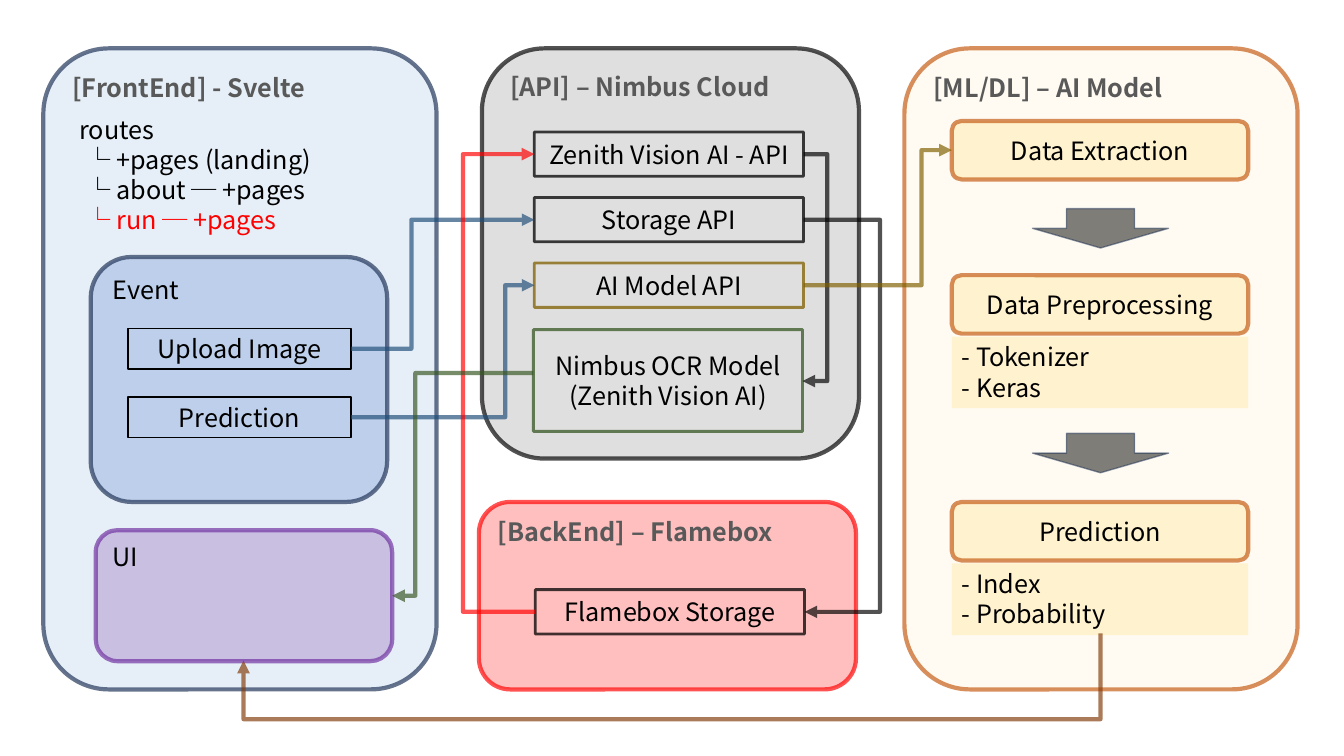
from lxml import etree
from pptx import Presentation
from pptx.dml.color import RGBColor
from pptx.enum.shapes import MSO_CONNECTOR, MSO_SHAPE
from pptx.enum.text import MSO_ANCHOR, PP_ALIGN
from pptx.oxml.ns import qn
from pptx.util import Emu, Pt

ELBOW = MSO_CONNECTOR.ELBOW
RECT, ROUND = MSO_SHAPE.RECTANGLE, MSO_SHAPE.ROUNDED_RECTANGLE
DOWN_ARROW = MSO_SHAPE.DOWN_ARROW
TOP, MIDDLE = MSO_ANCHOR.TOP, MSO_ANCHOR.MIDDLE
LEFT, CENTER = PP_ALIGN.LEFT, PP_ALIGN.CENTER

FONT = "Noto Sans CJK KR"
COLORS = {
    "black": "000000", "heading": "595959", "gray": "808080", "navy": "1E3256",
    "sky": "9DC3E6", "blue": "4472C4", "steel": "1F4E79", "cream": "FFF2CC",
    "yellow": "FFD966", "orange": "C55A11", "purple": "7030A0", "red": "FF0000",
    "green": "385723", "olive": "806000", "brown": "843C0B",
}


def px(n):
    return Emu(n * 9144)


def paint(fill, color, opacity):
    fill.solid()
    fill.fore_color.rgb = RGBColor.from_string(COLORS[color])
    if opacity < 100:
        clr = fill._xPr.find(qn("a:solidFill"))[0]
        etree.SubElement(clr, qn("a:alpha")).set("val", str(opacity * 1000))


def stroke(line, color, width, opacity):
    line.width = Pt(width)
    paint(line.fill, color, opacity)


def write(tf, text, align=LEFT, anchor=TOP, color="black", bold=False):
    tf.word_wrap = True
    tf.vertical_anchor = anchor
    tf.text = text
    for p in tf.paragraphs:
        p.alignment = align
        for r in p.runs:
            r.font.name = FONT
            r.font.size = Pt(18)
            r.font.bold = bold
            r.font.color.rgb = RGBColor.from_string(COLORS[color])
            ea = etree.SubElement(r.font._element, qn("a:ea"))
            ea.set("typeface", FONT)


def add_block(s, kind, box, fill=None, opacity=25, line=None):
    sp = s.shapes.add_shape(kind, *map(px, box))
    sp.shadow.inherit = False
    if fill:
        paint(sp.fill, fill, opacity)
    else:
        sp.fill.background()
    if line:
        stroke(sp.line, *line)
    else:
        sp.line.fill.background()
    return sp


def add_panel(s, box, text, fill, line, color="heading", bold=True):
    sp = add_block(s, ROUND, box, fill, line=(line, 3, 67))
    write(sp.text_frame, text, color=color, bold=bold)


def add_box(s, box, text, line):
    sp = add_block(s, RECT, box, line=line)
    write(sp.text_frame, text, CENTER, MIDDLE)


def add_step(s, top, text, details=None):
    sp = add_block(s, ROUND, (944, top, 294, 58), "yellow", line=("orange", 3, 67))
    write(sp.text_frame, text, CENTER, MIDDLE)
    if details:
        sp = add_block(s, RECT, (944, top + 61, 294, 71), "yellow")
        write(sp.text_frame, details)


def add_routes(s):
    tf = s.shapes.add_textbox(*map(px, (69, 108, 315, 131))).text_frame
    write(tf, "routes\n└ +pages (landing)\n└ about ─ +pages\n└ run ─ +pages")
    for p in tf.paragraphs[1:]:
        p._p.get_or_add_pPr().set("marL", str(px(6)))
    tf.paragraphs[-1].runs[0].font.color.rgb = RGBColor.from_string(COLORS["red"])


def add_elbow(s, start, end, bend, color):
    c = s.shapes.add_connector(ELBOW, *map(px, start + end))
    stroke(c.line, color, 3, 67)
    tail = etree.SubElement(c.line._get_or_add_ln(), qn("a:tailEnd"))
    tail.set("type", "triangle")
    spPr = c._element.spPr
    etree.SubElement(spPr, qn("a:effectLst"))
    adj = round((bend - start[0]) / (end[0] - start[0]) * 100000)
    gd = etree.SubElement(spPr.find(qn("a:prstGeom")).find(qn("a:avLst")), qn("a:gd"))
    gd.set("name", "adj1")
    gd.set("fmla", f"val {adj}")
    return c


def add_return_elbow(s, start, end, bend, color):
    (x1, y1), (x2, y2) = start, end
    mid_x, mid_y = (x1 + x2) / 2, (y1 + y2) / 2
    half_w, half_h = (y2 - y1) / 2, (x1 - x2) / 2
    left, right = int(mid_x - half_w), int(mid_x + half_w)
    bend_x = left + bend - y1
    c = add_elbow(s, (left, int(mid_y - half_h)), (right, int(mid_y + half_h)),
                  bend_x, color)
    c._element.spPr.find(qn("a:xfrm")).set("rot", "5400000")


def main():
    prs = Presentation()
    prs.slide_width, prs.slide_height = px(1333), px(750)
    s = prs.slides.add_slide(prs.slide_layouts[6])

    add_panel(s, (478, 48, 374, 407), "[API] – Nimbus Cloud", "gray", "black")
    add_panel(s, (43, 48, 390, 636), "[FrontEnd] - Svelte", "sky", "navy")
    add_panel(s, (897, 48, 390, 636), "[ML/DL] – AI Model", "cream", "orange")
    add_panel(s, (475, 498, 374, 186), "[BackEnd] – Flamebox", "red", "red")
    add_panel(s, (90, 255, 294, 243), "Event", "blue", "navy", "black", False)
    add_panel(s, (95, 526, 294, 130), "UI", "purple", "purple", "black", False)
    add_routes(s)

    add_step(s, 120, "Data Extraction")
    add_step(s, 273, "Data Preprocessing", "- Tokenizer\n- Keras")
    add_step(s, 498, "Prediction", "- Index\n- Probability")
    for top in (207, 430):
        add_block(s, DOWN_ARROW, (1024, top, 135, 39), "black", 50, ("navy", 1, 50))

    for i, event in enumerate(("Upload Image", "Prediction")):
        add_box(s, (127, 326 + 68 * i, 221, 40), event, ("black", 1, 100))
    apis = (("Zenith Vision AI - API", "black"), ("Storage API", "black"),
            ("AI Model API", "olive"))
    for i, (name, color) in enumerate(apis):
        add_box(s, (530, 131 + 65 * i, 267, 44), name, (color, 2, 75))
    add_box(s, (529, 327, 267, 101), "Nimbus OCR Model\n(Zenith Vision AI)",
            ("green", 2, 75))
    add_box(s, (531, 585, 267, 44), "Flamebox Storage", ("black", 2, 75))

    for start, end, bend, color in (
        ((348, 346), (530, 218), 408, "steel"),
        ((348, 414), (530, 283), 501, "steel"),
        ((797, 218), (798, 607), 874, "black"),
        ((531, 607), (530, 153), 458, "red"),
        ((529, 370), (389, 591), 412, "green"),
        ((797, 153), (796, 378), 821, "black"),
        ((797, 283), (944, 149), 914, "olive"),
    ):
        add_elbow(s, start, end, bend, color)
    add_return_elbow(s, (1092, 629), (242, 656), 714, "brown")

    prs.save("out.pptx")


if __name__ == "__main__":
    main()
